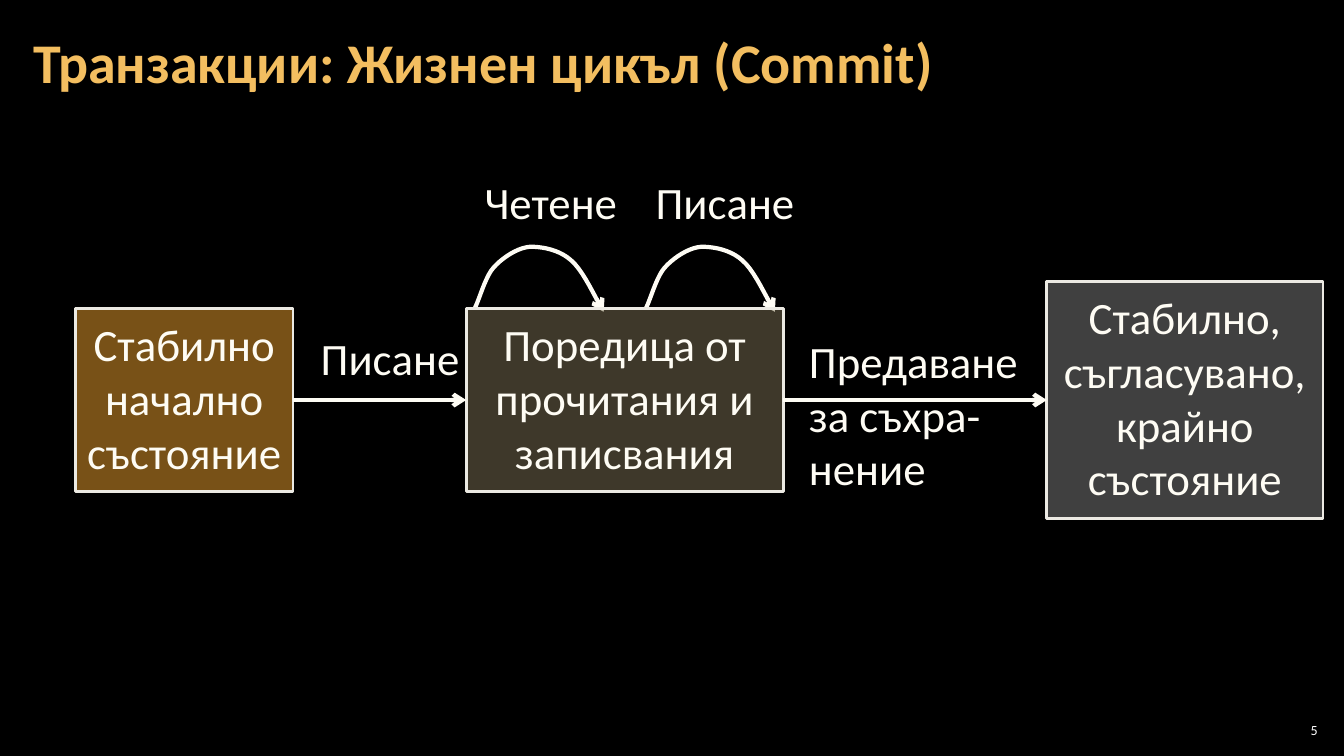
"""Build the slide on the life cycle of a committed transaction."""
from lxml import etree
from pptx import Presentation
from pptx import util as u
from pptx.dml.color import RGBColor
from pptx.enum import shapes, text
from pptx.oxml import ns

PX = 9525
BLACK = RGBColor(0x00, 0x00, 0x00)
WHITE = RGBColor(0xFF, 0xFF, 0xFF)
CREAM = RGBColor(0xFE, 0xFC, 0xF4)
BORDER = RGBColor(0xEC, 0xEA, 0xE3)
GOLD = RGBColor(0xF3, 0xBE, 0x60)
ORANGE = RGBColor(0xF0, 0xA2, 0x2E)
OLIVE = RGBColor(0x7C, 0x71, 0x54)
GRAY = RGBColor(0x80, 0x80, 0x80)

LOOP_START = (0, 0)
LOOP_CURVES = [
    ((4, -7), (10, -30), (18, -39)),
    ((27, -49), (41, -58), (53, -59)),
    ((65, -59), (81, -56), (92, -46)),
    ((104, -36), (116, -8), (123, 3)),
]
STEPS = 10


def px(*lengths):
    """Turn pixel lengths into EMU."""
    return [u.Emu(length * PX) for length in lengths]


def style_text(frame, size, color, align, bold=False):
    """Format every run of a text frame."""
    for para in frame.paragraphs:
        para.alignment = align
        for span in para.runs:
            span.font.name = "Calibri"
            span.font.size = u.Pt(size)
            span.font.bold = bold
            span.font.color.rgb = color


def set_margins(frame, left, top, right, bottom):
    """Set the inner margins of a text frame in pixels."""
    frame.margin_left, frame.margin_top, frame.margin_right, frame.margin_bottom = px(
        left, top, right, bottom)


def add_title(page, words):
    """Fill and place the title placeholder."""
    title = page.shapes.title
    title.left, title.top, title.width, title.height = px(20, 4, 1239, 116)
    frame = title.text_frame
    frame.text = words
    frame.word_wrap = True
    frame.auto_size = text.MSO_AUTO_SIZE.NONE
    frame.vertical_anchor = text.MSO_ANCHOR.MIDDLE
    set_margins(frame, 12, 4, 12, 4)
    frame.paragraphs[0].line_spacing = 0.9
    style_text(frame, 40, GOLD, text.PP_ALIGN.LEFT, bold=True)


def add_label(page, words, left, top, width, height):
    """Add an unwrapped caption."""
    frame = page.shapes.add_textbox(*px(left, top, width, height)).text_frame
    frame.text = words
    frame.word_wrap = False
    frame.auto_size = text.MSO_AUTO_SIZE.SHAPE_TO_FIT_TEXT
    style_text(frame, 32, CREAM, text.PP_ALIGN.LEFT)


def add_state(page, words, color, left, top, width, height):
    """Add a half-transparent state box and return it."""
    box = page.shapes.add_shape(
        shapes.MSO_SHAPE.RECTANGLE, *px(left, top, width, height))
    box.shadow.inherit = False
    box.fill.solid()
    box.fill.fore_color.rgb = color
    tint = box.fill._xPr.find(".//" + ns.qn("a:srgbClr"))
    etree.SubElement(tint, ns.qn("a:alpha"), val="50000")
    box.line.color.rgb = BORDER
    box.line.width = u.Pt(2)
    frame = box.text_frame
    frame.text = words
    frame.word_wrap = True
    frame.vertical_anchor = text.MSO_ANCHOR.TOP
    set_margins(frame, 10, 8, 10, 12)
    style_text(frame, 32, CREAM, text.PP_ALIGN.CENTER)
    return box


def style_arrow(line):
    """Give a line its colour, width and open arrowhead."""
    line.color.rgb = CREAM
    line.width = u.Pt(3)
    etree.SubElement(line._get_or_add_ln(), ns.qn("a:tailEnd"), type="arrow")


def add_arrow(page, source, target):
    """Join two boxes by an arrow from right side to left side."""
    arrow = page.shapes.add_connector(shapes.MSO_CONNECTOR.STRAIGHT, 0, 0, 0, 0)
    arrow.begin_connect(source, 3)
    arrow.end_connect(target, 1)
    style_arrow(arrow.line)
    etree.SubElement(arrow._element.spPr, ns.qn("a:effectLst"))


def bezier_point(points, t):
    """Return the point at t on a cubic curve."""
    weights = ((1 - t) ** 3, 3 * t * (1 - t) ** 2, 3 * t ** 2 * (1 - t), t ** 3)
    return tuple(sum(w * p[axis] for w, p in zip(weights, points)) for axis in (0, 1))


def add_loop(page, left, top):
    """Add a curved arrow that leaves and re-enters the box below."""
    vertices = []
    start = LOOP_START
    for curve in LOOP_CURVES:
        for step in range(1, STEPS + 1):
            x, y = bezier_point((start, *curve), step / STEPS)
            vertices.append((round((left + x) * PX), round((top + y) * PX)))
        start = curve[-1]
    builder = page.shapes.build_freeform(left * PX, top * PX)
    builder.add_line_segments(vertices, close=False)
    loop = builder.convert_to_shape()
    loop.shadow.inherit = False
    loop.fill.background()
    style_arrow(loop.line)


def add_page_number(page, number):
    """Add the page number at the lower right."""
    frame = page.shapes.add_textbox(*px(1214, 685, 45, 20)).text_frame
    frame.text = number
    frame.word_wrap = True
    frame.vertical_anchor = text.MSO_ANCHOR.MIDDLE
    set_margins(frame, 4, 4, 4, 4)
    style_text(frame, 10, WHITE, text.PP_ALIGN.RIGHT)


def main():
    """Assemble and save the deck."""
    deck = Presentation()
    deck.slide_width, deck.slide_height = px(1280, 720)
    page = deck.slides.add_slide(deck.slide_layouts[5])
    page.background.fill.solid()
    page.background.fill.fore_color.rgb = BLACK

    add_title(page, "Транзакции: Жизнен цикъл (Commit)")
    add_label(page, "Предаване\vза съхра-\vнение", 761, 313, 220, 165)
    add_label(page, "Писане", 296, 310, 153, 61)
    for words, left, width in (("Четене", 452, 147), ("Писане", 615, 153)):
        add_loop(page, left, 294)
        add_label(page, words, left, 162, width, 61)

    initial = add_state(
        page, "Стабилно начално състояние", ORANGE, 72, 294, 207, 174)
    final = add_state(
        page, "Стабилно,\nсъгласувано,\nкрайно състояние", GRAY, 997, 268, 263, 226)
    series = add_state(
        page, "Поредица от прочитания и записвания", OLIVE, 444, 294, 302, 174)
    add_arrow(page, initial, series)
    add_arrow(page, series, final)
    add_page_number(page, "5")
    deck.save("out.pptx")


if __name__ == "__main__":
    main()
